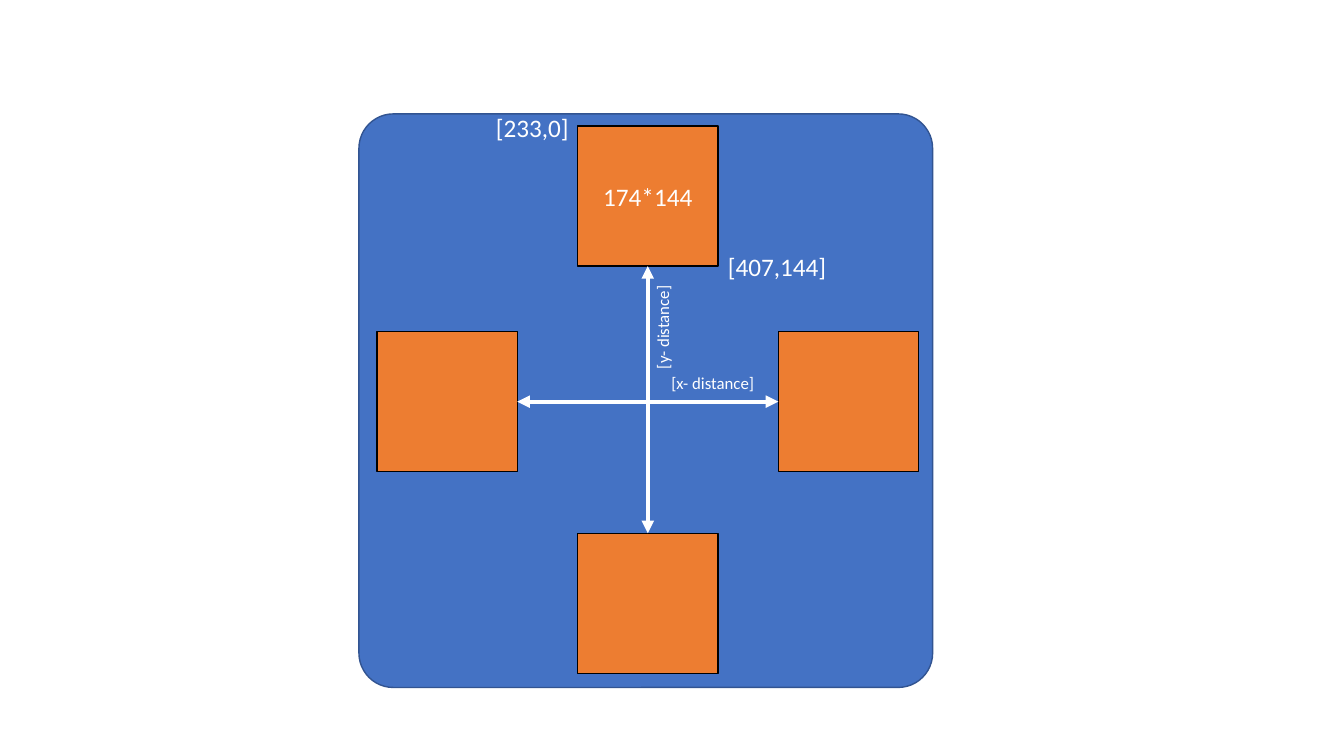
from dataclasses import dataclass

from lxml import etree
from pptx import Presentation
from pptx import util as u
from pptx.dml.color import RGBColor
from pptx.enum import shapes, text
from pptx.oxml import ns
from pptx.shapes.autoshape import Shape
from pptx.shapes.connector import Connector
from pptx.slide import Slide
from pptx.text.text import TextFrame


@dataclass(frozen=True)
class Theme:
    font: str = "Calibri"
    panel: RGBColor = RGBColor(0x44, 0x72, 0xC4)
    panel_edge: RGBColor = RGBColor(0x32, 0x54, 0x91)
    square: RGBColor = RGBColor(0xED, 0x7D, 0x31)
    square_edge: RGBColor = RGBColor(0, 0, 0)
    light: RGBColor = RGBColor(0xFF, 0xFF, 0xFF)
    large: int = 18
    small: int = 12
    outline: int = 1
    arrow: int = 3


@dataclass(frozen=True)
class Square:
    name: str
    left: float
    top: float
    wording: str = ""


@dataclass(frozen=True)
class Label:
    wording: str
    left: float
    top: float
    width: float
    height: float
    size: int
    rotation: int = 0


@dataclass(frozen=True)
class Arrow:
    start: str
    start_side: int
    end: str
    end_side: int


THEME = Theme()
PANEL_SIDE = 5.69
SQUARE_SIDE = 1.39
BOTTOM, TOP, LEFT, RIGHT = 2, 0, 1, 3

SQUARES = [
    Square("top", 5.73, 1.25, "174*144"),
    Square("bottom", 5.73, 5.29),
    Square("right", 7.72, 3.29),
    Square("left", 3.74, 3.29),
]
ARROWS = [
    Arrow("top", BOTTOM, "bottom", TOP),
    Arrow("left", RIGHT, "right", LEFT),
]
LABELS = [
    Label("[233,0]", 4.82, 1.07, 1, 0.4, THEME.large),
    Label("[407,144]", 7.12, 2.44, 1.19, 0.4, THEME.large),
    Label("[x- distance]", 6.56, 3.65, 1.08, 0.3, THEME.small),
    Label("[y- distance]", 6.03, 3.07, 1.08, 0.3, THEME.small, 270),
]


def write(frame: TextFrame, wording: str, size: int, align: text.PP_ALIGN) -> None:
    para = frame.paragraphs[0]
    para.alignment = align
    span = para.add_run()
    span.text = wording
    span.font.name = THEME.font
    span.font.size = u.Pt(size)
    span.font.color.rgb = THEME.light


def add_block(page: Slide, kind: shapes.MSO_SHAPE, left: float, top: float,
              side: float, fill: RGBColor, edge: RGBColor) -> Shape:
    """Draw a flat shape that is as wide as it is high."""
    block = page.shapes.add_shape(
        kind, u.Inches(left), u.Inches(top), u.Inches(side), u.Inches(side))
    block.shadow.inherit = False
    block.fill.solid()
    block.fill.fore_color.rgb = fill
    block.line.color.rgb = edge
    block.line.width = u.Pt(THEME.outline)
    return block


def add_square(page: Slide, square: Square) -> Shape:
    block = add_block(page, shapes.MSO_SHAPE.RECTANGLE, square.left, square.top,
                      SQUARE_SIDE, THEME.square, THEME.square_edge)
    if square.wording:
        block.text_frame.vertical_anchor = text.MSO_ANCHOR.MIDDLE
        write(block.text_frame, square.wording, THEME.large, text.PP_ALIGN.CENTER)
    return block


def add_arrow(page: Slide, arrow: Arrow, blocks: dict[str, Shape]) -> Connector:
    """Join two squares with a line that has a head at both ends."""
    line = page.shapes.add_connector(shapes.MSO_CONNECTOR.STRAIGHT, 0, 0, 0, 0)
    line.begin_connect(blocks[arrow.start], arrow.start_side)
    line.end_connect(blocks[arrow.end], arrow.end_side)
    line.line.color.rgb = THEME.light
    line.line.width = u.Pt(THEME.arrow)
    outline = line.line._get_or_add_ln()
    for tag in ("a:headEnd", "a:tailEnd"):
        etree.SubElement(outline, ns.qn(tag), type="triangle")
    etree.SubElement(line._element.spPr, ns.qn("a:effectLst"))
    return line


def add_label(page: Slide, label: Label) -> Shape:
    box = page.shapes.add_textbox(u.Inches(label.left), u.Inches(label.top),
                                  u.Inches(label.width), u.Inches(label.height))
    box.rotation = label.rotation
    box.text_frame.word_wrap = True
    box.text_frame.auto_size = text.MSO_AUTO_SIZE.SHAPE_TO_FIT_TEXT
    write(box.text_frame, label.wording, label.size, text.PP_ALIGN.LEFT)
    return box


def main() -> None:
    deck = Presentation()
    deck.slide_width = u.Inches(13.33)
    deck.slide_height = u.Inches(7.5)
    page = deck.slides.add_slide(deck.slide_layouts[6])

    panel = add_block(page, shapes.MSO_SHAPE.ROUNDED_RECTANGLE, 3.56, 1.13,
                      PANEL_SIDE, THEME.panel, THEME.panel_edge)
    panel.adjustments[0] = 0.06
    blocks = {square.name: add_square(page, square) for square in SQUARES}
    for arrow in ARROWS:
        add_arrow(page, arrow, blocks)
    for label in LABELS:
        add_label(page, label)

    deck.save("out.pptx")


if __name__ == "__main__":
    main()
